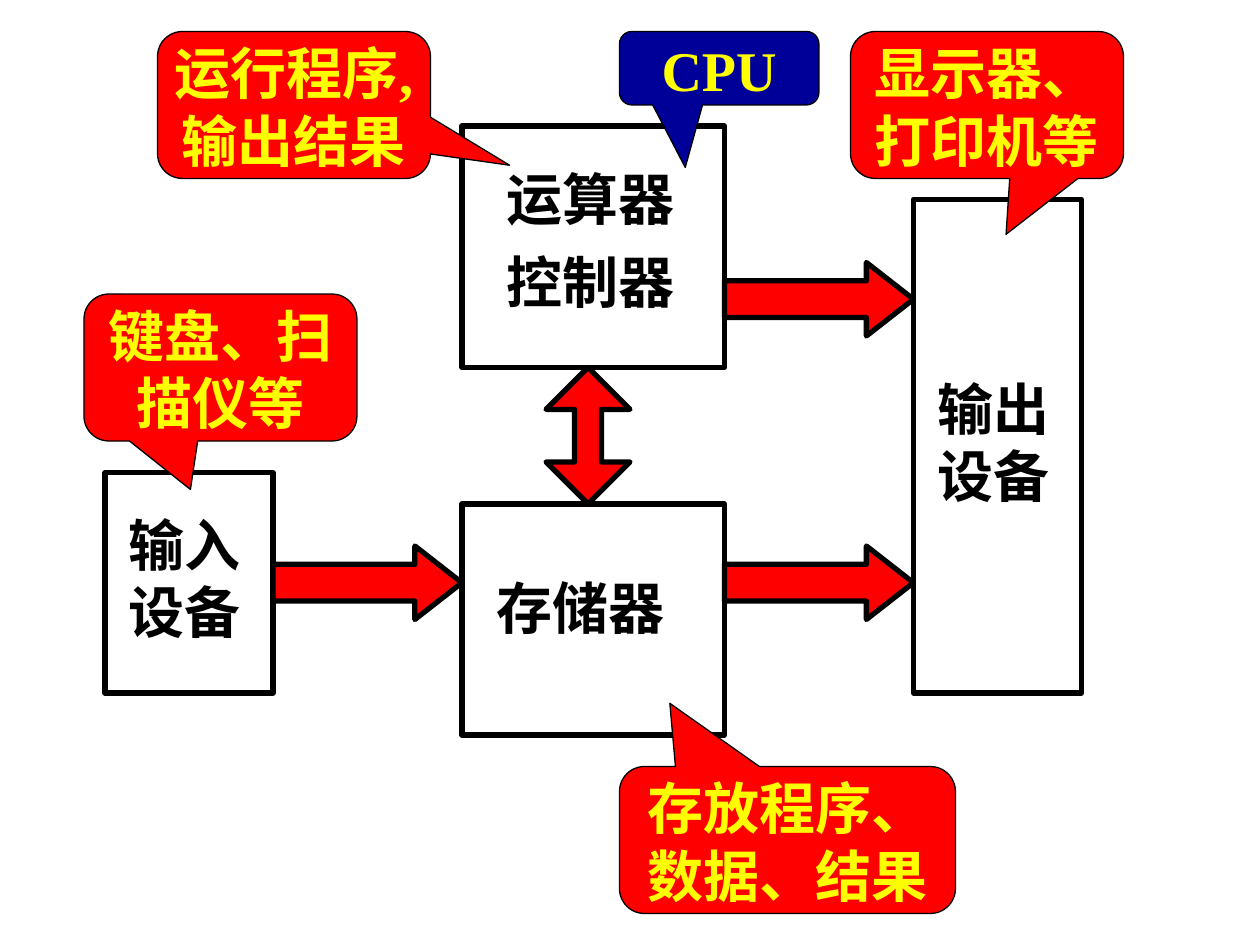
from pptx import Presentation
from pptx import util as u
from pptx.dml.color import RGBColor
from pptx.enum import shapes, text

PX = 9525  # EMU in one px, 96 px to the inch
FONT = "Times New Roman"
HUES = {
    "black": "000000",
    "white": "FFFFFF",
    "red": "FF0000",
    "navy": "000099",
    "yellow": "FFFF00",
}
KIND = shapes.MSO_SHAPE
LEFT, MID = text.PP_ALIGN.LEFT, text.PP_ALIGN.CENTER


def hue(name):
    return RGBColor.from_string(HUES[name])


def write(item, words, color, align, pad):
    """Put one bold line of words into a shape or text box."""
    frame = item.text_frame
    frame.word_wrap = True
    frame.vertical_anchor = text.MSO_ANCHOR.TOP
    frame.margin_left = frame.margin_right = pad[0] * PX
    frame.margin_top = frame.margin_bottom = pad[1] * PX
    para = frame.paragraphs[0]
    para.alignment = align
    run = para.add_run()
    run.text = words
    run.font.name = FONT
    run.font.size = u.Pt(32)
    run.font.bold = True
    run.font.color.rgb = hue(color)


def draw(slide, kind, area, fill=None, line="black", width=3, adjust=()):
    """Add a preset shape; area is left, top, width, height in px."""
    item = slide.shapes.add_shape(kind, *(n * PX for n in area))
    item.shadow.inherit = False
    if fill:
        item.fill.solid()
        item.fill.fore_color.rgb = hue(fill)
    else:
        item.fill.background()
    item.line.color.rgb = hue(line)
    item.line.width = u.Pt(width)
    for i, value in enumerate(adjust):
        item.adjustments[i] = value
    return item


def label(slide, area, words):
    box = slide.shapes.add_textbox(*(n * PX for n in area))
    write(box, words, "black", LEFT, (10, 5))


def callout(slide, area, tip, words, fill="red"):
    item = draw(slide, KIND.ROUNDED_RECTANGULAR_CALLOUT, area, fill,
                width=0.75, adjust=(*tip, 0.17))
    write(item, words, "yellow", MID, (0, 0))


def main():
    deck = Presentation()
    deck.slide_width, deck.slide_height = 960 * PX, 720 * PX
    slide = deck.slides.add_slide(deck.slide_layouts[6])

    # Memory name, in a white-edged box under the memory unit
    name = draw(slide, KIND.RECTANGLE, (368, 432, 160, 61),
                line="white", width=0.75)
    write(name, "存储器", "black", LEFT, (10, 5))

    # Units: memory, input, processor, output
    for area in ((352, 384, 200, 176), (80, 360, 128, 168),
                 (352, 96, 200, 184), (696, 152, 128, 376)):
        draw(slide, KIND.RECTANGLE, area)

    # Unit names
    label(slide, (88, 384, 120, 112), "输入设备")
    label(slide, (376, 120, 192, 61), "运算器")
    label(slide, (376, 184, 192, 61), "控制器")
    label(slide, (704, 280, 120, 112), "输出设备")

    # Data flow
    for left, top in ((552, 416), (208, 416), (552, 200)):
        draw(slide, KIND.RIGHT_ARROW, (left, top, 144, 56), "red",
             adjust=(0.5, 0.64))
    draw(slide, KIND.UP_DOWN_ARROW, (416, 280, 64, 104), "red",
         adjust=(0.5, 0.32))

    # Callouts
    callout(slide, (64, 224, 208, 112), (-0.11, 0.83), "键盘、扫描仪等")
    callout(slide, (472, 584, 256, 112), (-0.35, -0.93),
            "存放程序、数据、结果")
    callout(slide, (120, 24, 208, 112), (0.79, 0.41), "运行程序,输出结果")
    callout(slide, (648, 24, 208, 112), (0.07, 0.88), "显示器、打印机等")
    callout(slide, (472, 24, 152, 56), (-0.17, 1.35), "CPU", "navy")

    deck.save("out.pptx")


if __name__ == "__main__":
    main()
